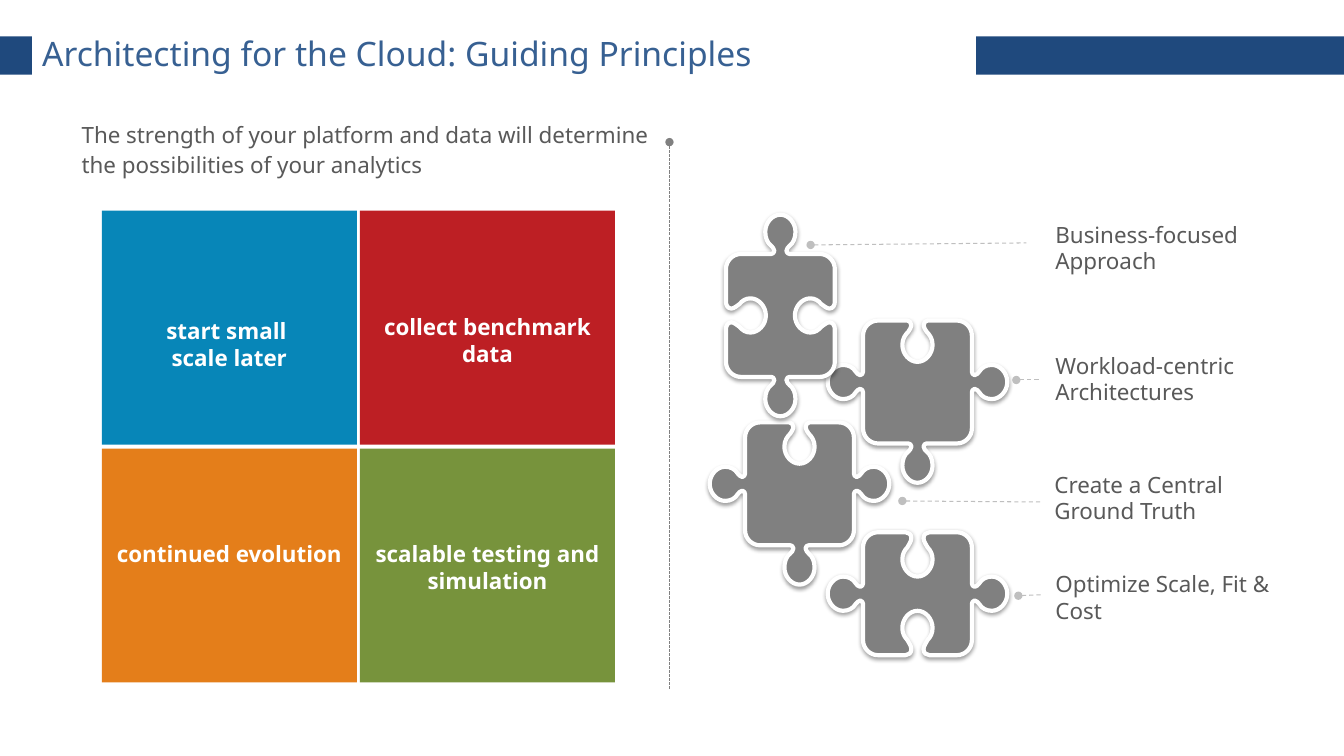
from lxml.etree import SubElement
from pptx import Presentation
from pptx.dml.color import RGBColor
from pptx.enum.dml import MSO_LINE
from pptx.enum.shapes import MSO_CONNECTOR, MSO_SHAPE
from pptx.enum.text import MSO_ANCHOR, PP_ALIGN
from pptx.oxml.ns import qn
from pptx.util import Inches, Pt

FONT = "Noto Sans"
NAVY, WHITE, GRAY, TEXT_GRAY, LEADER_GRAY = "1F497D", "FFFFFF", "808080", "595959", "BFBFBF"

# Half outlines of the puzzle joints as chained cubic curves, from the edge to
# the tip: (distance from the middle of the side, distance from the edge)
KNOB = [(.09, 0), (.08, 0), (.06, .01), (.06, .03), (.06, .05), (.08, .07), (.09, .08),
        (.13, .11), (.15, .16), (.15, .22), (.15, .31), (.08, .39), (0, .39)]
SOCKET = [(.12, 0), (.09, 0), (.06, -.02), (.06, -.06), (.06, -.09), (.09, -.13), (.10, -.15),
          (.13, -.18), (.15, -.22), (.15, -.27), (.15, -.36), (.08, -.44), (0, -.44)]
NARROW = [(.10, 0), (.08, 0), (.06, -.02), (.06, -.05), (.06, -.07), (.08, -.09), (.09, -.11),
          (.12, -.14), (.15, -.18), (.15, -.24), (.15, -.33), (.08, -.41), (0, -.41)]

# Body centre, then the joints at top, right, bottom and left
PIECES = [
    (9.10, 5.89, (SOCKET, KNOB, SOCKET, KNOB)),
    (9.10, 3.79, (NARROW, KNOB, KNOB, KNOB)),
    (7.93, 4.80, (NARROW, KNOB, KNOB, KNOB)),
    (7.74, 3.13, (KNOB, SOCKET, KNOB, SOCKET)),
]
HALF_WIDTH, HALF_HEIGHT, CORNER = 0.54, 0.61, 0.15
ROUNDNESS = 0.55

# Caption, fill and caption top, row by row
PRINCIPLES = [
    ("start small \nscale later", "0786B8", 3.10),
    ("collect benchmark data", "BD1F24", 3.06),
    ("continued evolution", "E47E1A", 5.31),
    ("scalable testing and simulation", "77933C", 5.31),
]

# Label, its place, and the leader line that points to it
GOALS = [
    ("Business-focused Approach", 10.37, 2.14, 2.44, (8.04, 2.43, 10.18, 2.41)),
    ("Workload-centric Architectures", 10.37, 3.44, 2.19, (10.08, 3.77, 10.31, 3.77)),
    ("Create a Central Ground Truth", 10.36, 4.62, 2.46, (8.95, 4.97, 10.32, 4.98)),
    ("Optimize Scale, Fit & Cost", 10.37, 5.61, 2.45, (10.10, 5.91, 10.33, 5.90)),
]


def rgb(color):
    return RGBColor.from_string(color)


def add_block(slide, left, top, width, height, color):
    block = slide.shapes.add_shape(
        MSO_SHAPE.RECTANGLE, Inches(left), Inches(top), Inches(width), Inches(height))
    block.fill.solid()
    block.fill.fore_color.rgb = rgb(color)
    block.line.fill.background()
    block.shadow.inherit = False


def add_text(slide, text, left, top, width, height, color=TEXT_GRAY, size=16, bold=False,
             align=PP_ALIGN.LEFT, anchor=MSO_ANCHOR.TOP):
    box = slide.shapes.add_textbox(Inches(left), Inches(top), Inches(width), Inches(height))
    frame = box.text_frame
    frame.word_wrap = True
    frame.vertical_anchor = anchor
    frame.text = text
    for paragraph in frame.paragraphs:
        paragraph.alignment = align
        for run in paragraph.runs:
            run.font.name = FONT
            run.font.size = Pt(size)
            run.font.bold = bold
            run.font.color.rgb = rgb(color)
    return frame


def add_dotted_line(slide, ends, color, dash):
    line = slide.shapes.add_connector(MSO_CONNECTOR.STRAIGHT, *[Inches(end) for end in ends])
    line.line.color.rgb = rgb(color)
    line.line.width = Pt(0.75)
    line.line.dash_style = dash
    SubElement(line.line._get_or_add_ln(), qn("a:headEnd"), type="oval")
    SubElement(line._element.spPr, qn("a:effectLst"))


def piece_segments(x, y, joints):
    """Clockwise segments: a line has its end, a curve two controls and its end."""
    segments = []
    normals = [(0, -1), (1, 0), (0, 1), (-1, 0)]
    for (nx, ny), joint in zip(normals, joints):
        tx, ty = -ny, nx

        def place(along, out):
            return (Inches(x + nx * (HALF_WIDTH + out) + tx * along),
                    Inches(y + ny * (HALF_HEIGHT + out) + ty * along))

        # Joints on the upright sides are wider and flatter
        stretch, squash = (1.13, 0.9) if nx else (1, 1)
        half = [(u * stretch, v * squash) for u, v in joint]
        points = [place(u, v) for u, v in [(-u, v) for u, v in half] + half[-2::-1]]
        segments.append(points[:1])
        segments += [points[i:i + 3] for i in range(1, len(points), 3)]

        # Straight edge, then the rounded corner
        reach = HALF_HEIGHT if nx else HALF_WIDTH
        bend = CORNER * (1 - ROUNDNESS)
        segments.append([place(reach - CORNER, 0)])
        segments.append([place(reach - bend, 0), place(reach, -bend), place(reach, -CORNER)])
    return segments


def add_puzzle_piece(slide, x, y, joints):
    segments = piece_segments(x, y, joints)
    anchors = [segment[-1] for segment in segments]
    builder = slide.shapes.build_freeform(*anchors[0])
    builder.add_line_segments(anchors[1:], close=True)
    piece = builder.convert_to_shape()

    # Bend the segments that have control points
    for step, segment in zip(list(piece._element.iter(qn("a:lnTo"))), segments[1:]):
        if len(segment) == 3:
            step.tag = qn("a:cubicBezTo")
            end = step[0]
            for control_x, control_y in segment[:2]:
                SubElement(step, qn("a:pt"), x=str(control_x - piece.left),
                           y=str(control_y - piece.top))
            step.append(end)

    piece.fill.solid()
    piece.fill.fore_color.rgb = rgb(GRAY)
    piece.line.color.rgb = rgb(WHITE)
    piece.line.width = Pt(3)
    # Soft shadow straight below
    piece.shadow.inherit = False
    effects = piece._element.spPr.find(qn("a:effectLst"))
    shadow = SubElement(effects, qn("a:outerShdw"), blurRad=str(Pt(3.1)), dist=str(Pt(1.6)),
                        dir="5400000", algn="t", rotWithShape="0")
    black = SubElement(shadow, qn("a:srgbClr"), val="000000")
    SubElement(black, qn("a:alpha"), val="38000")


def main():
    prs = Presentation()
    prs.slide_width, prs.slide_height = Inches(13.33), Inches(7.5)
    slide = prs.slides.add_slide(prs.slide_layouts[6])

    # Header band with the title
    add_block(slide, 0, 0.36, 13.33, 0.38, NAVY)
    add_block(slide, 0.32, 0, 9.36, 1.06, WHITE)
    add_text(slide, "Architecting for the Cloud: Guiding Principles", 0.32, 0, 9.36, 1.06,
             color="376092", size=24, anchor=MSO_ANCHOR.MIDDLE)

    # Divider and introduction
    add_dotted_line(slide, (6.64, 1.41, 6.64, 6.84), GRAY, MSO_LINE.SQUARE_DOT)
    intro = add_text(
        slide,
        "The strength of your platform and data will determine the possibilities of your analytics",
        0.81, 1.24, 5.66, 0.46, anchor=MSO_ANCHOR.MIDDLE)
    intro.margin_left = intro.margin_right = intro.margin_top = intro.margin_bottom = 0
    intro.paragraphs[0].line_spacing = 1.1

    # Four principles in a two by two grid
    for i, (caption, color, caption_top) in enumerate(PRINCIPLES):
        row, column = divmod(i, 2)
        left = 1.01 + 2.56 * column
        add_block(slide, left, 2.09 + 2.36 * row, 2.53, 2.32, color)
        add_text(slide, caption, left, caption_top, 2.53, 0.64, color=WHITE, bold=True,
                 align=PP_ALIGN.CENTER)

    # Puzzle with labelled goals
    for x, y, joints in PIECES:
        add_puzzle_piece(slide, x, y, joints)
    for label, left, top, width, leader in GOALS:
        add_dotted_line(slide, leader, LEADER_GRAY, MSO_LINE.DASH)
        add_text(slide, label, left, top, width, 0.64)

    prs.save("out.pptx")


if __name__ == "__main__":
    main()
